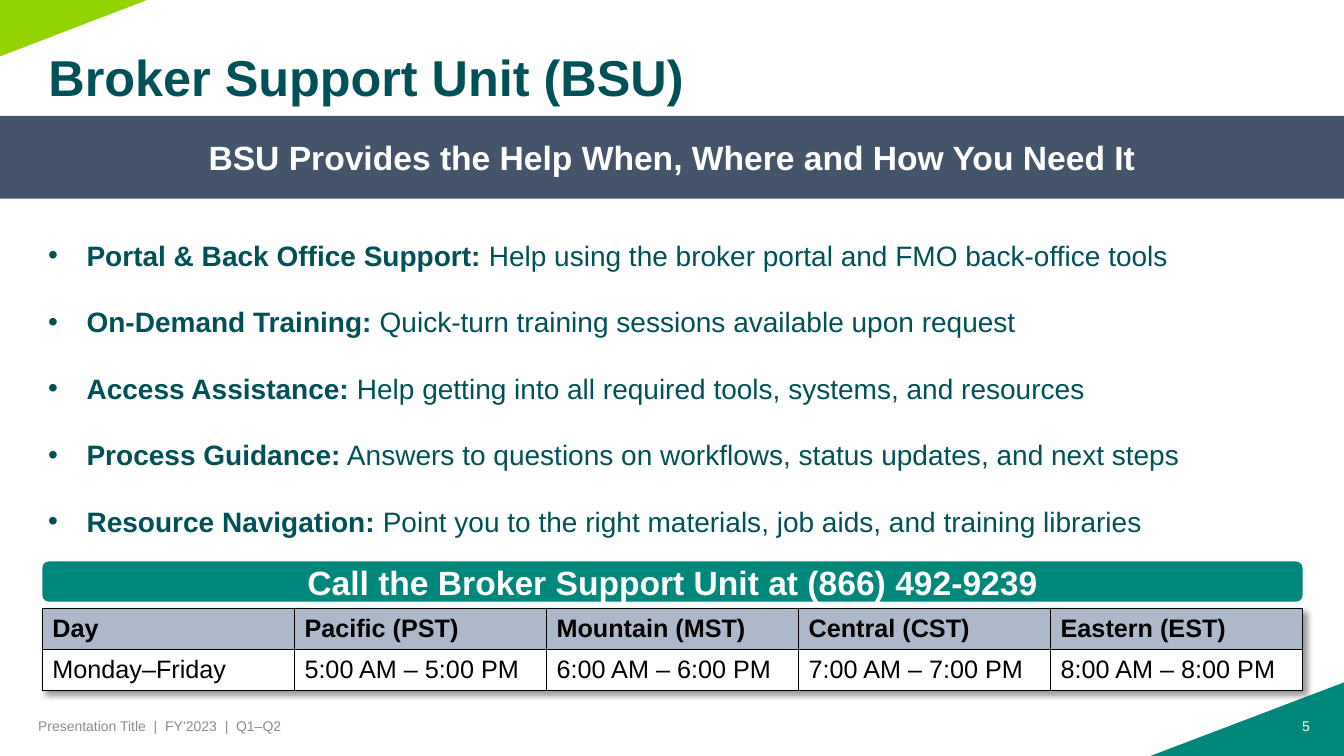
"""Build the Broker Support Unit slide."""
from lxml import etree
from pptx import Presentation
from pptx.dml.color import RGBColor
from pptx.enum import shapes, text
from pptx.oxml import parse_xml
from pptx.oxml.ns import qn
from pptx.util import Inches, Pt

DEEP_TEAL, TEAL, LIME, SLATE = "005157", "00877C", "92D300", "44546A"
WHITE, BLACK, GREY, PALE_BLUE = "FFFFFF", "000000", "8C8C8C", "ADB9CA"
LEFT, CENTER, RIGHT = text.PP_ALIGN.LEFT, text.PP_ALIGN.CENTER, text.PP_ALIGN.RIGHT
MIDDLE = text.MSO_ANCHOR.MIDDLE


def rgb(value):
    return RGBColor.from_string(value)


def write(paragraph, words, size=20, color=DEEP_TEAL, bold=False, align=LEFT):
    paragraph.alignment = align
    run = paragraph.add_run()
    run.text = words
    run.font.name = "Arial"
    run.font.size = Pt(size)
    run.font.bold = bold
    run.font.color.rgb = rgb(color)


deck = Presentation()
deck.slide_width, deck.slide_height = Inches(13.33), Inches(7.5)
slide = deck.slides.add_slide(deck.slide_layouts[5])

corners = [
    (LIME, [(0, 0), (1.46, 0), (0, 0.56)]),
    (TEAL, [(13.33, 7.5), (11.41, 7.5), (13.33, 6.77)]),
]
for color, points in corners:
    start, *others = [(Inches(x), Inches(y)) for x, y in points]
    outline = slide.shapes.build_freeform(*start)
    outline.add_line_segments(others, close=True)
    corner = outline.convert_to_shape()
    corner.shadow.inherit = False
    corner.fill.solid()
    corner.fill.fore_color.rgb = rgb(color)
    corner.line.fill.background()

title = slide.shapes.title
title.left, title.top = Inches(0.38), Inches(0.35)
title.width, title.height = Inches(10.95), Inches(0.89)
title.text_frame.vertical_anchor = MIDDLE
title.text_frame.word_wrap = True
heading = title.text_frame.paragraphs[0]
heading.line_spacing = 0.9
write(heading, "Broker Support Unit (BSU)", size=36, bold=True)

services = [
    ("Portal & Back Office Support:", " Help using the broker portal and FMO back-office tools"),
    ("On-Demand Training:", " Quick-turn training sessions available upon request"),
    ("Access Assistance:", " Help getting into all required tools, systems, and resources"),
    ("Process Guidance:", " Answers to questions on workflows, status updates, and next steps"),
    ("Resource Navigation:", " Point you to the right materials, job aids, and training libraries"),
]
body = slide.shapes.add_textbox(Inches(0.38), Inches(2.15), Inches(12.02), Inches(3.4)).text_frame
body.word_wrap = True
for index, (service, detail) in enumerate(services):
    item = body.add_paragraph() if index else body.paragraphs[0]
    properties = item._p.get_or_add_pPr()
    properties.set("marL", str(Inches(0.38)))
    properties.set("indent", str(-Inches(0.38)))
    etree.SubElement(properties, qn("a:buFont"), typeface="Arial")
    etree.SubElement(properties, qn("a:buChar"), char="•")
    item.line_spacing = 1.5
    if index:
        item.space_before = Pt(11.5)
    write(item, service, bold=True)
    write(item, detail)

banners = [
    (shapes.MSO_SHAPE.RECTANGLE, 0, 1.15, 13.33, 0.82, SLATE,
     "BSU Provides the Help When, Where and How You Need It"),
    (shapes.MSO_SHAPE.ROUNDED_RECTANGLE, 0.42, 5.57, 12.5, 0.4, TEAL,
     "Call the Broker Support Unit at (866) 492-9239"),
]
for kind, left, top, width, height, color, message in banners:
    banner = slide.shapes.add_shape(kind, Inches(left), Inches(top), Inches(width), Inches(height))
    banner.shadow.inherit = False
    banner.fill.solid()
    banner.fill.fore_color.rgb = rgb(color)
    banner.line.fill.background()
    banner.text_frame.word_wrap = True
    banner.text_frame.vertical_anchor = MIDDLE
    write(banner.text_frame.paragraphs[0], message, size=24, color=WHITE, bold=True, align=CENTER)

hours = [
    ["Day", "Pacific (PST)", "Mountain (MST)", "Central (CST)", "Eastern (EST)"],
    ["Monday–Friday"] + [f"{hour}:00 AM – {hour}:00 PM" for hour in range(5, 9)],
]
schedule = slide.shapes.add_table(
    2, 5, Inches(0.42), Inches(6.04), Inches(12.5), Inches(0.79)).table
namespace = 'xmlns:a="http://schemas.openxmlformats.org/drawingml/2006/main"'
schedule._tbl.tblPr.insert(0, parse_xml(
    f'<a:effectLst {namespace}><a:outerShdw blurRad="50800" dist="38100" dir="2700000">'
    '<a:srgbClr val="000000"><a:alpha val="40000"/></a:srgbClr></a:outerShdw></a:effectLst>'))
for row, (height, fill, entries) in enumerate(zip((0.38, 0.41), (PALE_BLUE, WHITE), hours)):
    schedule.rows[row].height = Inches(height)
    for column, entry in enumerate(entries):
        cell = schedule.cell(row, column)
        cell.vertical_anchor = MIDDLE
        for side in "LRTB":
            cell._tc.get_or_add_tcPr().append(parse_xml(
                f'<a:ln{side} {namespace} w="{Pt(1)}"><a:solidFill>'
                f'<a:srgbClr val="{BLACK}"/></a:solidFill></a:ln{side}>'))
        cell.fill.solid()
        cell.fill.fore_color.rgb = rgb(fill)
        write(cell.text_frame.paragraphs[0], entry, size=18, color=BLACK, bold=row == 0)

footers = [
    (0.28, 4.5, "Presentation Title  |  FY’2023  |  Q1–Q2", GREY, LEFT),
    (12.29, 0.8, "5", WHITE, RIGHT),
]
for left, width, words, color, align in footers:
    footer = slide.shapes.add_textbox(Inches(left), Inches(7), Inches(width), Inches(0.4)).text_frame
    footer.word_wrap = True
    footer.vertical_anchor = MIDDLE
    write(footer.paragraphs[0], words, size=10, color=color, align=align)

deck.save("out.pptx")
